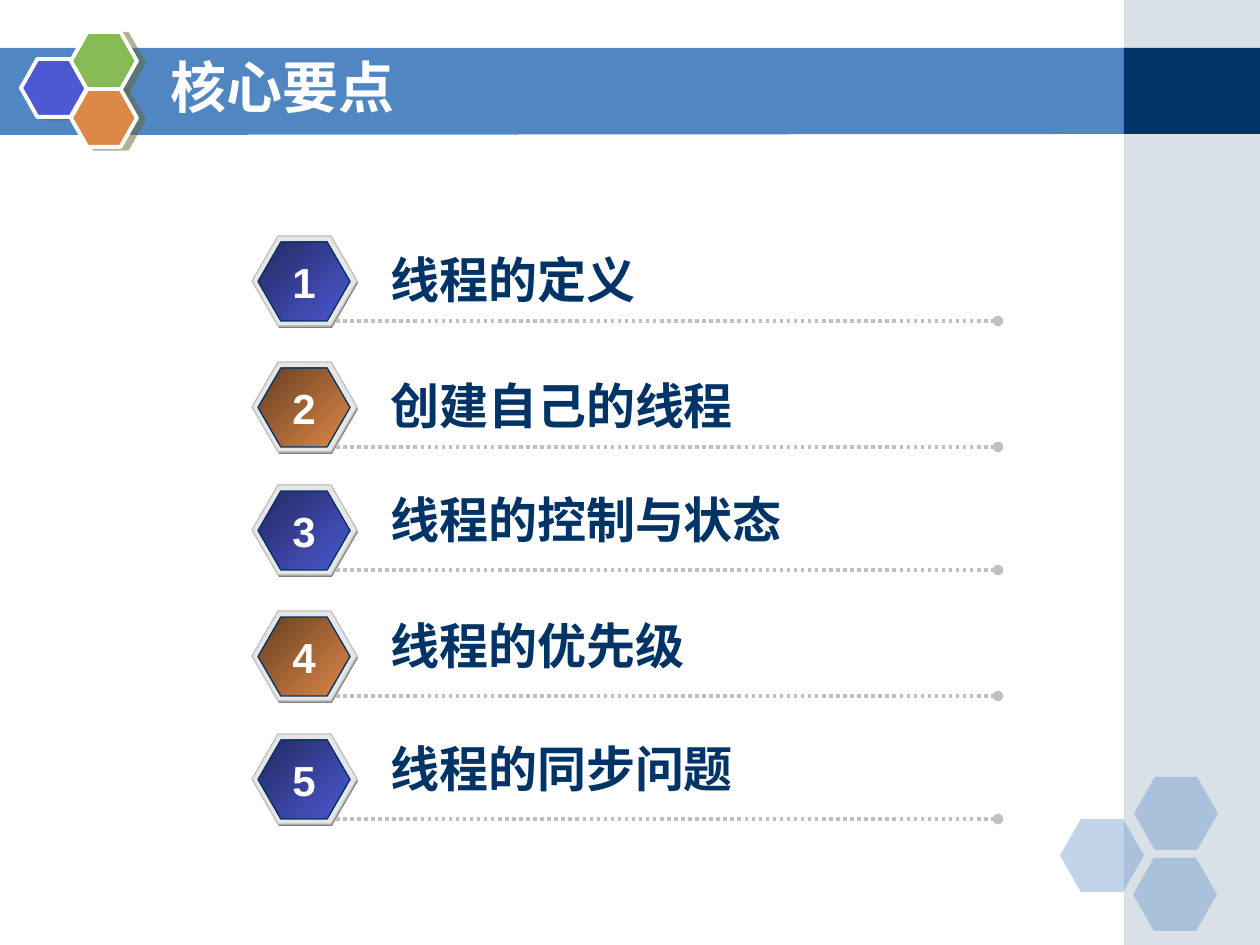
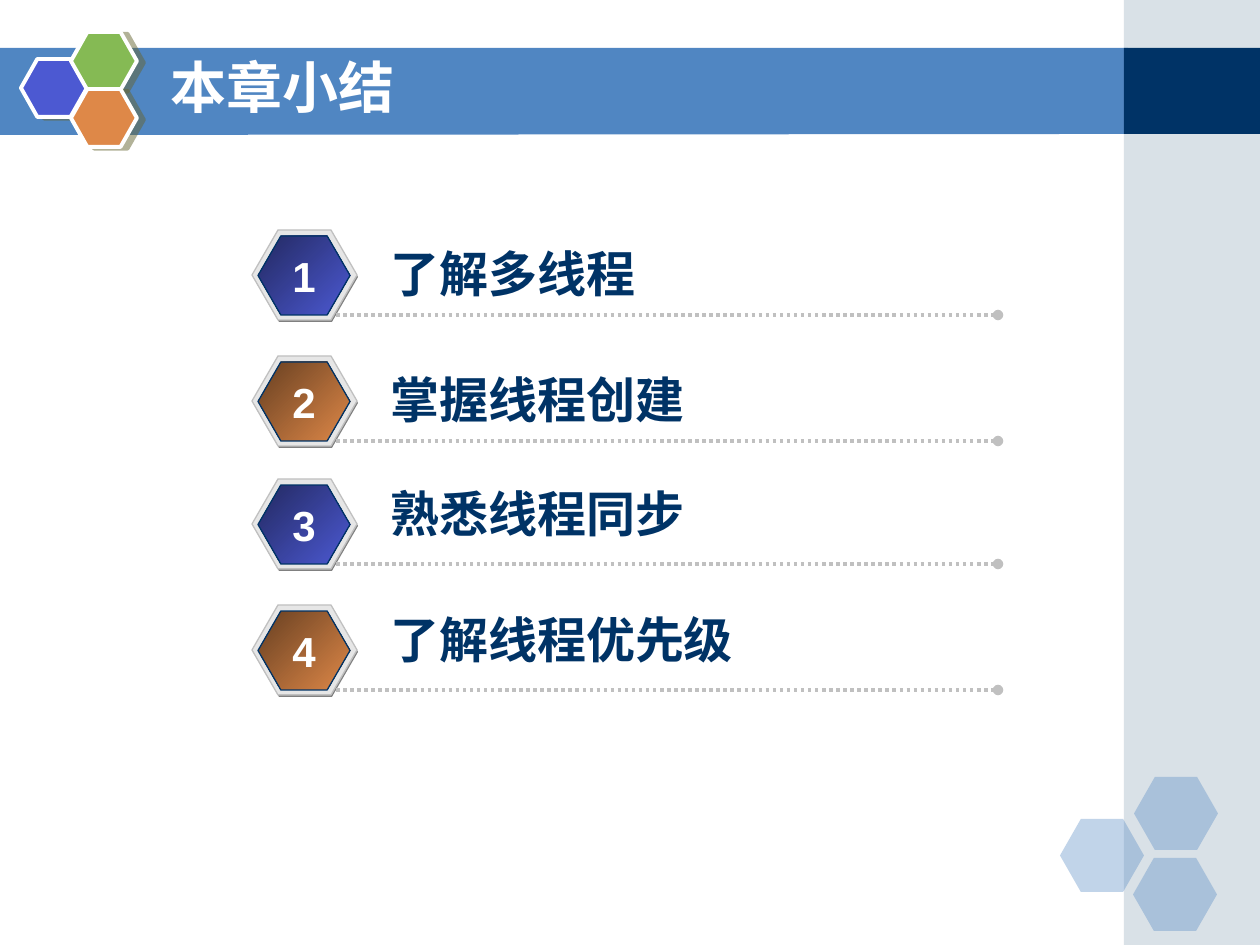
import pptx
import pptx.util
import pptx.dml.color
import pptx.enum.dml
import pptx.enum.shapes
import pptx.enum.text
import pptx.oxml
import pptx.oxml.ns
from lxml import etree

SCALE = 914400 / 126
CJK = "Noto Sans CJK SC"
NAVY, SKY, WHITE, SILVER = "003366", "5086C2", "FFFFFF", "C0C0C0"
BLUE, GREEN, ORANGE = "4C59D2", "85BA54", "DE8848"
BADGES = [("232961", BLUE), ("673F21", ORANGE)]
KIND = pptx.enum.shapes.MSO_SHAPE
ALIGN = pptx.enum.text.PP_ALIGN
FIT = pptx.enum.text.MSO_AUTO_SIZE
SLIDES = [
    ("核心要点", 236, ["线程的定义", "创建自己的线程", "线程的控制与状态",
                   "线程的优先级", "线程的同步问题"]),
    ("本章小结", 230, ["了解多线程", "掌握线程创建", "熟悉线程同步", "了解线程优先级"]),
]


def px(*values):
    return [pptx.util.Emu(round(v * SCALE)) for v in values]


def color(text):
    return pptx.dml.color.RGBColor.from_string(text)


def tag(parent, name, **attrs):
    return etree.SubElement(parent, pptx.oxml.ns.qn(name), attrs)


def paint(shape, fill, alpha=None, line=None, width=0.75):
    shape.shadow.inherit = False
    if isinstance(fill, tuple):
        shape.fill.gradient()
        shape.fill.gradient_angle = 315
        for stop, shade in zip(shape.fill.gradient_stops, fill):
            stop.color.rgb = color(shade)
    else:
        shape.fill.solid()
        shape.fill.fore_color.rgb = color(fill)
    if alpha:
        tone = next(shape.element.iter(pptx.oxml.ns.qn("a:srgbClr")))
        tag(tone, "a:alpha", val=str(alpha * 1000))
    if line:
        shape.line.color.rgb = color(line)
        shape.line.width = pptx.util.Pt(width)
    else:
        shape.line.fill.background()


def rect(slide, box, fill, alpha=None):
    paint(slide.shapes.add_shape(KIND.RECTANGLE, *px(*box)), fill, alpha)


def hexa(slide, box, bend, fill, **style):
    shape = slide.shapes.add_shape(KIND.HEXAGON, *px(*box))
    shape.adjustments[0] = bend
    paint(shape, fill, **style)
    return shape


def shade(shape):
    effects = shape.element.spPr.find(pptx.oxml.ns.qn("a:effectLst"))
    shadow = tag(effects, "a:outerShdw", dist="52070", dir="840000",
                 algn="ctr", rotWithShape="0")
    tone = tag(shadow, "a:srgbClr", val="666633")
    tag(tone, "a:alpha", val="50000")


def style(frame, size, tone, face, align):
    para = frame.paragraphs[0]
    para.alignment = align
    font = para.runs[0].font
    font.size = pptx.util.Pt(size)
    font.bold = True
    font.color.rgb = color(tone)
    font.name = face
    tag(para.runs[0].font._element, "a:ea", typeface=CJK)


def label(slide, box, text, size, tone, align=ALIGN.LEFT, wrap=True):
    frame = slide.shapes.add_textbox(*px(*box)).text_frame
    frame.text = text
    frame.word_wrap = wrap
    frame.auto_size = FIT.SHAPE_TO_FIT_TEXT
    style(frame, size, tone, "Arial", align)


def rule(slide, left, right, y):
    line = slide.shapes.add_connector(
        pptx.enum.shapes.MSO_CONNECTOR.STRAIGHT, *px(left, y, right, y))
    line.line.color.rgb = color(SILVER)
    line.line.width = pptx.util.Pt(2)
    line.line.dash_style = pptx.enum.dml.MSO_LINE.ROUND_DOT
    tag(line.line._get_or_add_ln(), "a:tailEnd", type="oval")
    tag(line.element.spPr, "a:effectLst")


def title(slide, text):
    shape = slide.shapes.title
    shape.left, shape.top, shape.width, shape.height = px(158, 42, 924, 88)
    frame = shape.text_frame
    frame.text = text
    frame.auto_size = FIT.NONE
    frame.vertical_anchor = pptx.enum.text.MSO_ANCHOR.MIDDLE
    style(frame, 32, WHITE, CJK, ALIGN.LEFT)


def band(slide):
    path = slide.shapes.build_freeform(0, 48, scale=SCALE)
    path.add_line_segments([(1128, 48), (1128, 134), (0, 135)])
    paint(path.convert_to_shape(), SKY)


def decor(slide):
    band(slide)
    rect(slide, (1124, 0, 136, 945), "A0B5C4", 40)
    rect(slide, (1124, 48, 136, 86), NAVY)
    for x, y in [(1060, 819), (1134, 777), (1133, 858)]:
        hexa(slide, (x, y, 84, 73), 0.286, SKY, alpha=35)
    for x, y, fill in [(21, 59, BLUE), (71, 32, GREEN), (71, 89, ORANGE)]:
        shade(hexa(slide, (x, y, 66, 58), 0.283, fill, line=WHITE, width=2.25))


def share(slide, layout):
    for spare in list(layout.placeholders)[1:]:
        spare.element.getparent().remove(spare.element)
    decor(slide)
    for shape in list(slide.shapes):
        if not shape.is_placeholder:
            layout.shapes.element.append(shape.element)


def item(slide, top, index, text):
    y = top + 249 * (index // 2) + 126 * (index % 2)
    shift = 7 if index < 2 else -2
    hexa(slide, (253, y + 2, 105, 90), 0.289, "808080")
    hexa(slide, (252, y, 105, 90), 0.289, "E6E6E6", line=SILVER)
    hexa(slide, (258, y + 6, 92, 79), 0.289, BADGES[index % 2], line=NAVY)
    rule(slide, 336, 998, y + 85)
    label(slide, (378, y + shift, 598, 72), text, 28, NAVY)
    label(slide, (280, y + 14, 48, 63), str(index + 1), 24, WHITE,
          ALIGN.CENTER, False)


def main():
    deck = pptx.Presentation()
    deck.slide_width, deck.slide_height = px(1260, 945)
    layout = deck.slide_layouts[5]
    for number, (head, top, items) in enumerate(SLIDES):
        slide = deck.slides.add_slide(layout)
        if number == 0:
            share(slide, layout)
        title(slide, head)
        for index, text in enumerate(items):
            item(slide, top, index, text)
    deck.save("out.pptx")


if __name__ == "__main__":
    main()
